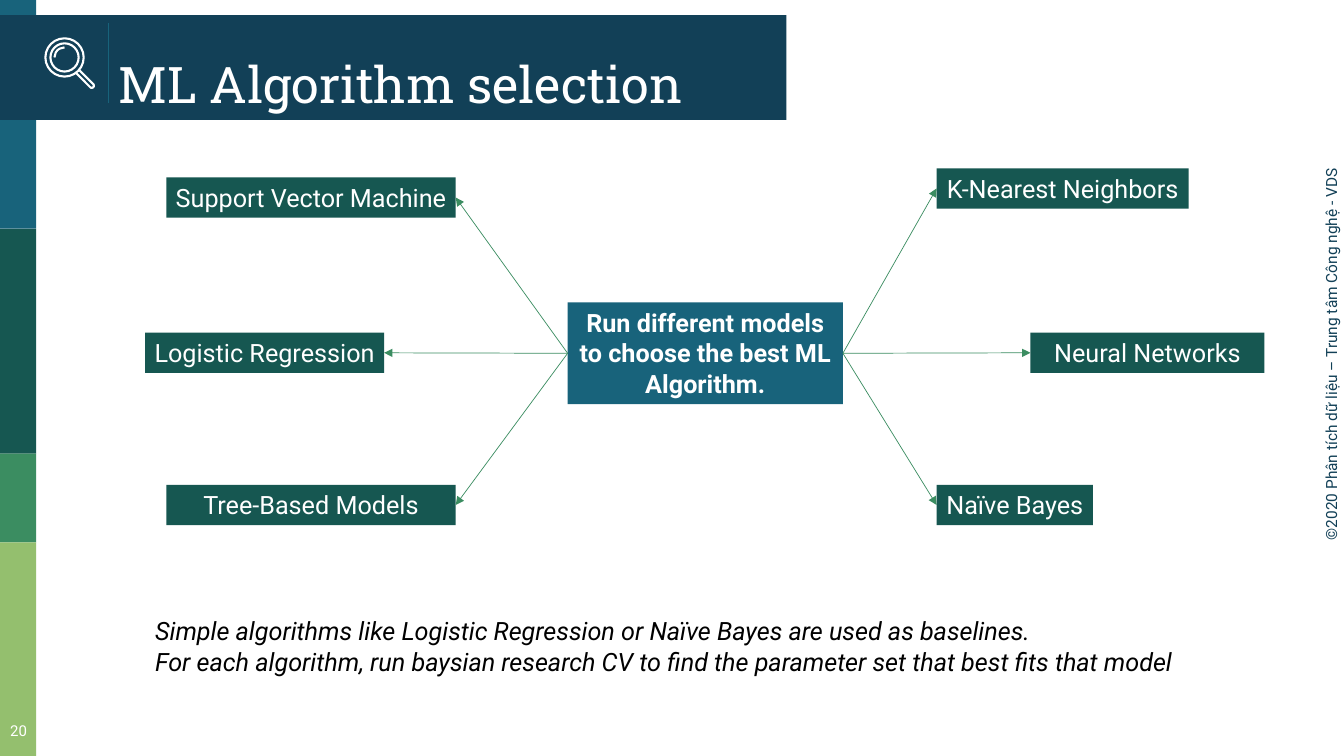
from lxml import etree
from pptx import Presentation
from pptx.dml.color import RGBColor
from pptx.enum.shapes import MSO_CONNECTOR, MSO_SHAPE
from pptx.enum.text import MSO_ANCHOR, MSO_AUTO_SIZE, PP_ALIGN
from pptx.oxml.ns import qn
from pptx.util import Inches, Pt

RECTANGLE, OVAL, ARC = MSO_SHAPE.RECTANGLE, MSO_SHAPE.OVAL, MSO_SHAPE.ARC
STRAIGHT = MSO_CONNECTOR.STRAIGHT
LEFT, CENTER = PP_ALIGN.LEFT, PP_ALIGN.CENTER
TOP = MSO_ANCHOR.TOP
FIT_SHAPE, FIXED_SIZE = MSO_AUTO_SIZE.SHAPE_TO_FIT_TEXT, MSO_AUTO_SIZE.NONE

# Content
COLORS = {"navy": "124057", "blue": "18637B", "teal": "165751",
          "green": "3B8D61", "lime": "94BF6E", "white": "FFFFFF", "black": "000000"}
TITLE = "ML Algorithm selection"
COPYRIGHT = "©2020 Phân tích dữ liệu – Trung tâm Công nghệ - VDS"
PAGE_NUMBER = "20"
HUB = "Run different models to choose the best ML Algorithm."
NOTES = [
    "Simple algorithms like Logistic Regression or Naïve Bayes are used as baselines.",
    "For each algorithm, run baysian research CV to find the parameter set that best fits that model",
]
# Label, left, top, width
LEFT_MODELS = [
    ("Support Vector Machine", 1.65, 1.76, 2.87),
    ("Logistic Regression", 1.44, 3.3, 2.37),
    ("Tree-Based Models", 1.65, 4.81, 2.87),
]
RIGHT_MODELS = [
    ("K-Nearest Neighbors", 9.29, 1.67, 2.5),
    ("Neural Networks", 10.22, 3.3, 2.32),
    ("Naïve Bayes", 9.29, 4.81, 1.55),
]

# Layout in inches
SLIDE_WIDTH, SLIDE_HEIGHT = 13.33, 7.5
SIDEBAR_WIDTH = 0.36
SIDEBAR_BANDS = [("blue", 0), ("teal", 2.27), ("green", 4.5), ("lime", 5.38)]
MODEL_HEIGHT = 0.4
HUB_LEFT, HUB_TOP, HUB_WIDTH, HUB_HEIGHT = 5.63, 3, 2.73, 1.01
LENS_CENTER = (0.64, 0.57)
LENS_RADII = (0.19, 0.14)
GLINT_RADIUS = 0.1
# Handle points in hundredths of an inch
HANDLE = [(75, 72), (90, 87), (92, 87), (93, 86), (93, 84), (78, 69)]

presentation = Presentation()
presentation.slide_width = Inches(SLIDE_WIDTH)
presentation.slide_height = Inches(SLIDE_HEIGHT)
slide = presentation.slides.add_slide(presentation.slide_layouts[6])


def color(name):
    return RGBColor.from_string(COLORS[name])


def add_block(left, top, width, height, fill):
    shape = slide.shapes.add_shape(RECTANGLE, *map(Inches, (left, top, width, height)))
    shape.shadow.inherit = False
    shape.fill.solid()
    shape.fill.fore_color.rgb = color(fill)
    shape.line.fill.background()
    return shape


def write(shape, lines, size, ink="white", font="Roboto", align=LEFT,
          bold=False, italic=False):
    frame = shape.text_frame
    frame.text = "\n".join(lines)
    frame.word_wrap = True
    frame.auto_size = FIT_SHAPE
    frame.vertical_anchor = TOP
    for paragraph in frame.paragraphs:
        paragraph.alignment = align
        for run in paragraph.runs:
            run.font.name, run.font.size = font, Pt(size)
            run.font.bold, run.font.italic = bold, italic
            run.font.color.rgb = color(ink)


def add_text(left, top, width, height, lines, size, **style):
    box = slide.shapes.add_textbox(*map(Inches, (left, top, width, height)))
    write(box, lines, size, **style)
    return box


def add_line(start, end, ink, weight, arrow=False):
    connector = slide.shapes.add_connector(STRAIGHT, *map(Inches, (*start, *end)))
    connector.line.color.rgb = color(ink)
    connector.line.width = Pt(weight)
    if arrow:
        line = connector.line._get_or_add_ln()
        etree.SubElement(line, qn("a:tailEnd"), type="triangle")
    etree.SubElement(connector._element.spPr, qn("a:effectLst"))


def outline(shape):
    shape.shadow.inherit = False
    shape.fill.background()
    shape.line.color.rgb = color("white")
    shape.line.width = Pt(1.5)


def add_round(kind, radius):
    x, y = LENS_CENTER
    shape = slide.shapes.add_shape(
        kind, *map(Inches, (x - radius, y - radius, 2 * radius, 2 * radius)))
    outline(shape)
    return shape


# Sidebar and title band
band_ends = [top for _, top in SIDEBAR_BANDS[1:]] + [SLIDE_HEIGHT]
for (fill, top), bottom in zip(SIDEBAR_BANDS, band_ends):
    add_block(0, top, SIDEBAR_WIDTH, bottom - top, fill)
add_block(0, 0.15, 7.8, 1.04, "navy")
add_text(1.08, 0.48, 6.48, 0.71, [TITLE], 36, font="Roboto Slab")
add_line((1.08, 0.23), (1.08, 1.02), "blue", 0.75)

# Copyright line and page number
copyright_box = add_text(11.26, 3.37, 3.89, 0.29, [COPYRIGHT], 11, ink="navy")
copyright_box.rotation = 270
page_box = add_text(-0.07, 7.03, 0.51, 0.47, [PAGE_NUMBER], 10.7, align=CENTER)
page_frame = page_box.text_frame
page_frame.auto_size = FIXED_SIZE
page_frame.margin_left = page_frame.margin_right = Inches(0.13)
page_frame.margin_top = page_frame.margin_bottom = Inches(0.13)

# Magnifier icon
for radius in LENS_RADII:
    add_round(OVAL, radius)
glint = add_round(ARC, GLINT_RADIUS)
glint.adjustments[0], glint.adjustments[1] = 108, 162  # 180 to 270 degrees
builder = slide.shapes.build_freeform(*HANDLE[0], scale=Inches(0.01))
builder.add_line_segments(HANDLE[1:], close=False)
outline(builder.convert_to_shape())

# Hub, models and arrows
hub = add_block(HUB_LEFT, HUB_TOP, HUB_WIDTH, HUB_HEIGHT, "blue")
write(hub, [HUB], 18, align=CENTER, bold=True)
hub_middle = HUB_TOP + HUB_HEIGHT / 2
for models, hub_edge, near_share in ((LEFT_MODELS, HUB_LEFT, 1),
                                     (RIGHT_MODELS, HUB_LEFT + HUB_WIDTH, 0)):
    for label, left, top, width in models:
        model = add_block(left, top, width, MODEL_HEIGHT, "teal")
        write(model, [label], 18, align=CENTER)
        # Narrow side margins keep each label on one line
        model.text_frame.margin_left = model.text_frame.margin_right = 0
        near_edge = left + near_share * width
        add_line((hub_edge, hub_middle), (near_edge, top + MODEL_HEIGHT / 2),
                 "green", 0.5, arrow=True)

# Closing notes
add_text(1.44, 6.06, 10.76, 0.71, NOTES, 18, ink="black", italic=True)

presentation.save("out.pptx")
